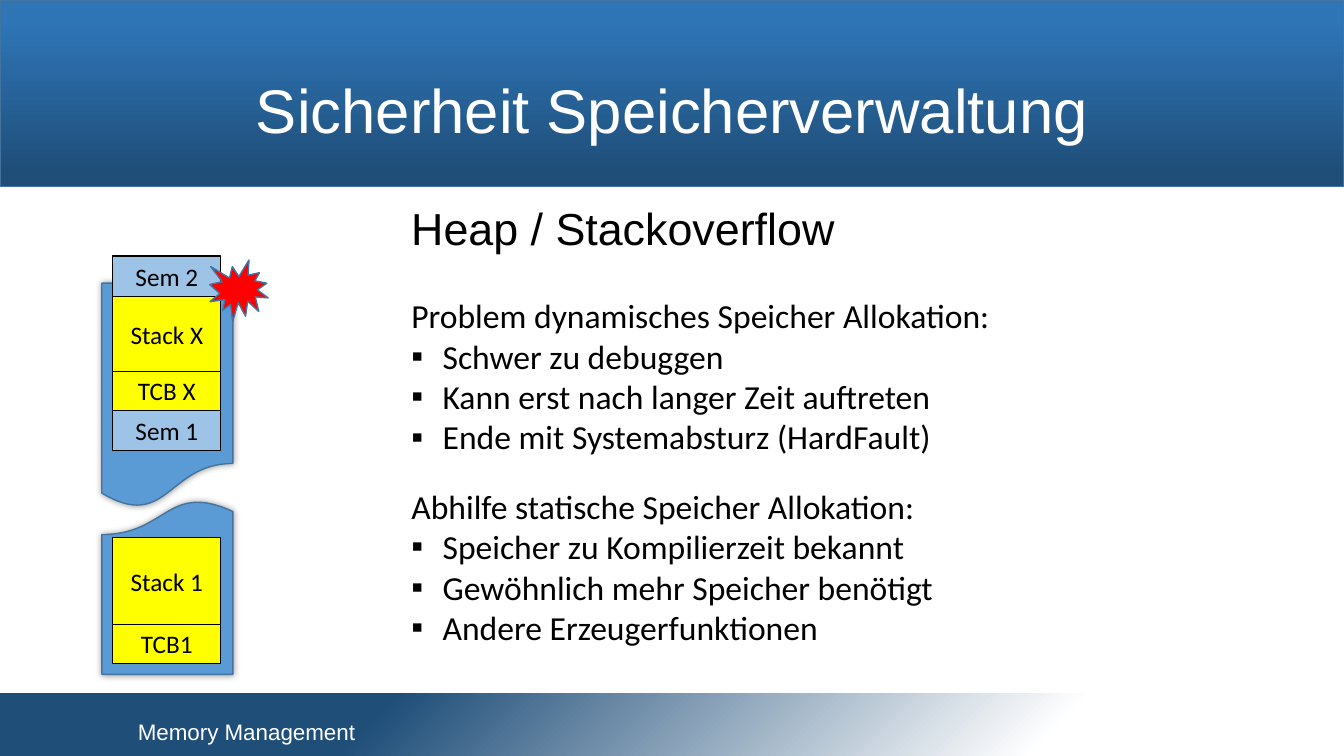
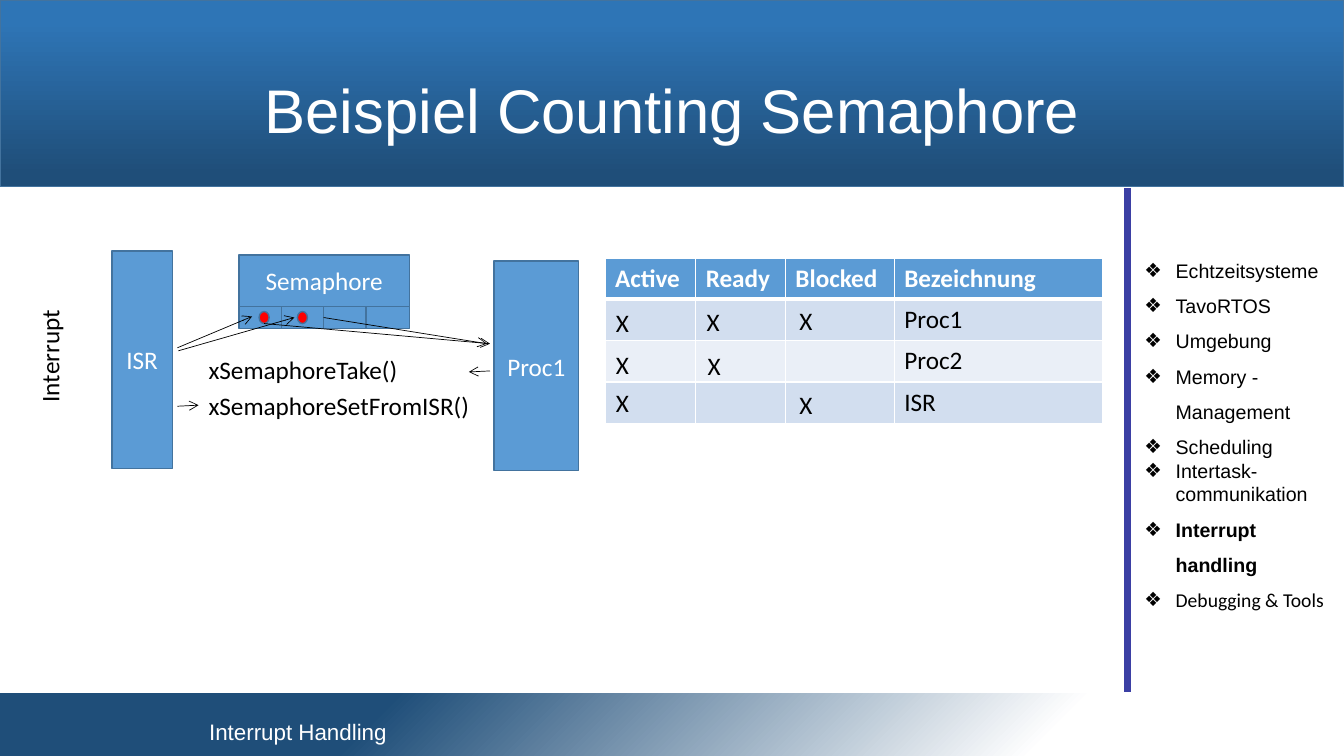
import pptx
import pptx.dml.color
import pptx.enum.shapes
import pptx.enum.text
import pptx.oxml
import pptx.oxml.ns
import pptx.util

RGB = pptx.dml.color.RGBColor
SHAPE = pptx.enum.shapes.MSO_SHAPE
ALIGN = pptx.enum.text.PP_ALIGN
ANCHOR = pptx.enum.text.MSO_ANCHOR
Pt = pptx.util.Pt
PX = 9144  # 100 px to the inch
WIDTH, HEIGHT = 1333, 750

WHITE = RGB(0xFF, 0xFF, 0xFF)
BLACK = RGB(0, 0, 0)
NAVY = RGB(0x1F, 0x4E, 0x79)
BAND_BLUE = RGB(0x2E, 0x75, 0xB6)
BLUE = RGB(0x5B, 0x9B, 0xD5)
EDGE = RGB(0x43, 0x73, 0x9E)
LIGHT_BLUE = RGB(0x9D, 0xC3, 0xE6)
YELLOW = RGB(0xFF, 0xFF, 0)
RED = RGB(0xFF, 0, 0)
RULE_BLUE = RGB(0x3B, 0x3F, 0xA4)
ROW_DARK = RGB(0xD2, 0xDE, 0xEF)
ROW_LIGHT = RGB(0xEA, 0xEF, 0xF7)


def px(*lengths):
    return [pptx.util.Emu(length * PX) for length in lengths]


def add_xml(parent, xml):
    """Append an element written with the a: prefix."""
    tag, rest = xml[1:].split(" ", 1)
    element = pptx.oxml.parse_xml(f"<{tag} {pptx.oxml.ns.nsdecls('a')} {rest}")
    parent.append(element)
    return element


# Text
def style(para, size, color=BLACK, font="Calibri", bold=False, align=None):
    para.font.size = Pt(size)
    para.font.name = font
    para.font.bold = bold
    para.font.color.rgb = color
    if align is not None:
        para.alignment = align


def set_bullet(para, char):
    properties = para._p.get_or_add_pPr()
    indent = 31 * PX if char else 0
    properties.set("marL", str(indent))
    properties.set("indent", str(-indent))
    add_xml(properties, f'<a:buChar char="{char}"/>' if char else "<a:buNone />")


def add_text(shapes, at, text, size=18, anchor=ANCHOR.TOP, **look):
    box = shapes.add_textbox(*px(*at))
    frame = box.text_frame
    frame.word_wrap = True
    frame.vertical_anchor = anchor
    frame.text = text
    style(frame.paragraphs[0], size, **look)
    return box


def place(holder, at):
    holder.left, holder.top, holder.width, holder.height = px(*at)
    frame = holder.text_frame
    frame.auto_size = pptx.enum.text.MSO_AUTO_SIZE.NONE
    frame.word_wrap = True
    return frame


def fill_list(holder, at, items, anchor=ANCHOR.TOP):
    """Items are (text, bullet, line spacing, look)."""
    frame = place(holder, at)
    frame.vertical_anchor = anchor
    for number, (text, bullet, spacing, look) in enumerate(items):
        para = frame.add_paragraph() if number else frame.paragraphs[0]
        para.text = text
        set_bullet(para, bullet)
        para.line_spacing = spacing
        para.space_before = para.space_after = Pt(0)
        style(para, **look)


# Shapes and lines
def add_box(shapes, at, fill, text="", kind=SHAPE.RECTANGLE, edge=EDGE,
            edge_width=1, color=WHITE):
    box = shapes.add_shape(kind, *px(*at))
    box.shadow.inherit = False
    box.fill.solid()
    box.fill.fore_color.rgb = fill
    box.line.color.rgb = edge
    box.line.width = Pt(edge_width)
    if text:
        box.text_frame.text = text
        style(box.text_frame.paragraphs[0], 18, color, align=ALIGN.CENTER)
    return box


def add_line(shapes, start, end, color=BLACK, width=0.5, arrow=True):
    line = shapes.add_connector(pptx.enum.shapes.MSO_CONNECTOR.STRAIGHT,
                                *px(*start, *end))
    line.line.color.rgb = color
    line.line.width = Pt(width)
    if arrow:
        add_xml(line.line._get_or_add_ln(), '<a:tailEnd type="arrow"/>')
    add_xml(line._element.spPr, "<a:effectLst />")
    return line


def add_glow(shape):
    add_xml(shape._element.spPr.find(pptx.oxml.ns.qn("a:effectLst")),
            '<a:outerShdw blurRad="63500" dist="0" dir="0"><a:srgbClr val="000000">'
            '<a:alpha val="40000"/></a:srgbClr></a:outerShdw>')


# Shared parts
def add_band(deck, page, at, stops, number):
    """Draw a gradient band and move it to the slide master."""
    band = page.shapes.add_shape(SHAPE.RECTANGLE, *px(*at))
    band.shadow.inherit = False
    band.fill.gradient()
    for stop, (position, color) in zip(band.fill.gradient_stops, stops):
        stop.position = position
        stop.color.rgb = color
    band._element.nvSpPr.cNvPr.set("id", str(100 + number))
    deck.slide_master.shapes.element.insert(2 + number, band._element)
    return band


def add_bands(deck, page):
    footer = add_band(deck, page, (0, 688, WIDTH, 74), [(0.23, WHITE), (0.72, NAVY)], 0)
    footer.line.fill.background()
    footer._element.spPr.xfrm.set("flipV", "1")
    linear = footer._element.spPr.find(".//" + pptx.oxml.ns.qn("a:lin"))
    gradient = linear.getparent()
    gradient.remove(linear)
    add_xml(gradient, '<a:path path="circle">'
            '<a:fillToRect l="100000" t="100000"/></a:path>')
    header = add_band(deck, page, (0, 0, WIDTH, 185), [(0.07, NAVY), (0.88, BAND_BLUE)], 1)
    header.fill.gradient_angle = 90
    header.line.color.rgb = EDGE
    header.line.width = Pt(1)


def add_page(deck, layout, title, footer, footer_width):
    page = deck.slides.add_slide(deck.slide_layouts[layout])
    frame = place(page.shapes.title, (92, 40, 1150, 145))
    frame.text = title
    frame.vertical_anchor = ANCHOR.MIDDLE
    para = frame.paragraphs[0]
    para.line_spacing = 0.9
    style(para, 44, WHITE, "Arial", align=ALIGN.CENTER)
    add_text(page.shapes, (91, 696, footer_width, 60), footer, 16, ANCHOR.MIDDLE,
             color=WHITE, font="Arial", align=ALIGN.CENTER)
    return page


# Heap and stack
def draw_memory(page):
    group = page.shapes.add_group_shape().shapes
    for top, height, turn in [(281, 223, 0), (496, 173, 180)]:
        part = add_box(group, (101, top, 130, height), BLUE, kind=SHAPE.FLOWCHART_DOCUMENT)
        part.rotation = turn
        add_glow(part)
    blocks = [("TCB1", 618, 40, YELLOW), ("Stack 1", 533, 87, YELLOW),
              ("Sem 1", 407, 40, LIGHT_BLUE), ("TCB X", 367, 40, YELLOW),
              ("Stack X", 294, 75, YELLOW), ("Sem 2", 254, 40, LIGHT_BLUE)]
    for text, top, height, fill in blocks:
        add_box(group, (112, top, 107, height), fill, text,
                edge=BLACK, edge_width=0.75, color=BLACK)
    add_box(group, (208, 258, 58, 61), RED, kind=SHAPE.EXPLOSION1)


def fill_memory_page(page):
    draw_memory(page)
    add_text(page.shapes, (398, 194, 500, 64), "Heap / Stackoverflow", 32, font="Arial")
    lists = [
        (288, "Problem dynamisches Speicher Allokation:",
         ["Schwer zu debuggen", "Kann erst nach langer Zeit auftreten",
          "Ende mit Systemabsturz (HardFault)"]),
        (477, "Abhilfe statische Speicher Allokation:",
         ["Speicher zu Kompilierzeit bekannt", "Gewöhnlich mehr Speicher benötigt",
          "Andere Erzeugerfunktionen"]),
    ]
    look = {"size": 24}
    for index, (top, heading, points) in enumerate(lists, 1):
        items = [(heading, None, 1.0, look)] + [(text, "▪", 1.0, look) for text in points]
        fill_list(page.placeholders[index], (398, top, 810, 202), items)


# Counting semaphore
def add_state_table(page):
    widths = [90, 89, 108, 207]
    heads = ["Active", "Ready", "Blocked", "Bezeichnung"]
    rows = [heads] + [["", "", "", name] for name in ("Proc1", "Proc2", "ISR")]
    fills = [BLUE, ROW_DARK, ROW_LIGHT, ROW_DARK]
    frame = page.shapes.add_table(len(rows), len(widths),
                                  *px(600, 256, sum(widths), 41 * len(rows)))
    table = frame.table
    for column, width in zip(table.columns, widths):
        column.width = px(width)[0]
    for y, (row, fill) in enumerate(zip(rows, fills)):
        table.rows[y].height = px(41)[0]
        for x, text in enumerate(row):
            cell = table.cell(y, x)
            for side in "LRTB":
                thick = (y, side) in [(0, "B"), (1, "T")]
                add_xml(cell._tc.get_or_add_tcPr(),
                        f'<a:ln{side} w="{Pt(3 if thick else 1)}"><a:solidFill>'
                        f'<a:srgbClr val="{WHITE}"/></a:solidFill></a:ln{side}>')
            cell.fill.solid()
            cell.fill.fore_color.rgb = fill
            cell.text = text
            style(cell.text_frame.paragraphs[0], 18, BLACK if y else WHITE, bold=y == 0)
    marks = [(601, 300), (691, 299), (783, 298), (601, 342), (692, 343),
             (601, 379), (783, 381)]
    for left, top in marks:
        add_text(page.shapes, (left, top, 88, 42), "X")


def draw_semaphore(page):
    shapes = page.shapes
    add_box(shapes, (111, 249, 60, 216), BLUE, "ISR")
    add_box(shapes, (237, 253, 169, 51), BLUE, "Semaphore")
    add_box(shapes, (490, 259, 84, 208), BLUE, "Proc1")
    slots = [add_box(shapes, (237 + 42 * i, 304, 43, 22), BLUE) for i in range(4)]
    add_text(shapes, (197, 347, 284, 40), "xSemaphoreTake()")
    add_text(shapes, (197, 382, 284, 40), "xSemaphoreSetFromISR()")
    label = add_text(shapes, (29, 284, 50, 125), "Interrupt")
    label.text_frame._txBody.bodyPr.set("vert", "vert270")
    for left in (257, 295):
        add_box(shapes, (left, 309, 10, 12), RED, kind=SHAPE.OVAL)
    arrows = [((176, 345), (250, 314)), ((177, 348), (292, 315)),
              ((262, 321), (486, 341)), ((486, 368), (465, 369)),
              ((176, 403), (197, 402))]
    for start, end in arrows:
        add_line(shapes, start, end)
    add_line(shapes, (321, 315), (483, 341)).begin_connect(slots[2], 1)


def add_agenda(page):
    plain = {"size": 14, "font": "Arial"}
    topics = ["Echtzeitsysteme", "TavoRTOS", "Umgebung", "Memory - Management", "Scheduling"]
    items = [(text, "❖", 1.5, plain) for text in topics]
    items += [("Intertask-communikation", "❖", 1.0, plain),
              ("Interrupt handling", "❖", 1.5, {**plain, "bold": True}),
              ("Debugging & Tools", "❖", 1.5, {"size": 14})]
    fill_list(page.placeholders[1], (1125, 193, 204, 466), items, ANCHOR.MIDDLE)
    add_line(page.shapes, (1118, 187), (1118, 687), RULE_BLUE, 5, arrow=False)


def main():
    deck = pptx.Presentation()
    deck.slide_width, deck.slide_height = px(WIDTH, HEIGHT)

    memory = add_page(deck, 3, "Sicherheit Speicherverwaltung", "Memory Management", 307)
    add_bands(deck, memory)
    fill_memory_page(memory)

    semaphore = add_page(deck, 1, "Beispiel Counting Semaphore", "Interrupt Handling", 409)
    add_state_table(semaphore)
    draw_semaphore(semaphore)
    add_agenda(semaphore)

    deck.save("out.pptx")


if __name__ == "__main__":
    main()
